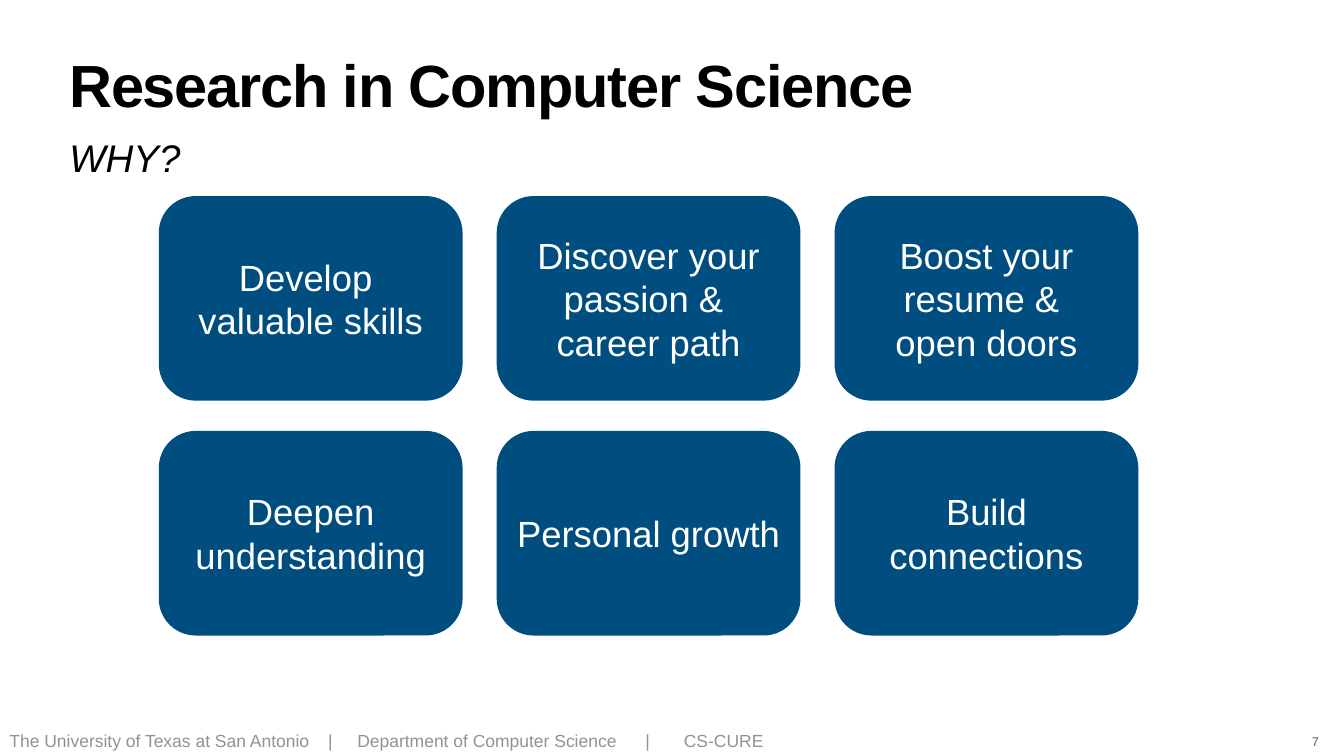
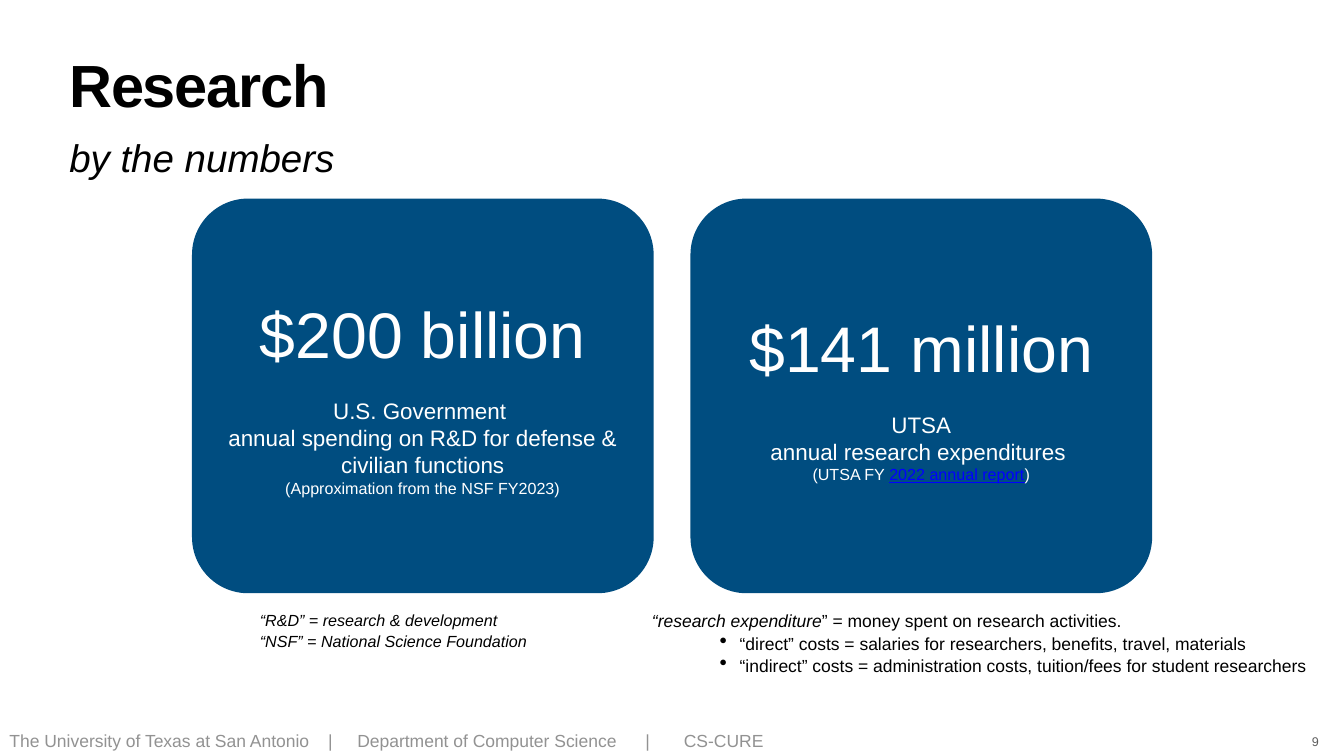
from dataclasses import dataclass

from lxml.etree import SubElement
from pptx import Presentation
from pptx.dml.color import RGBColor as Color
from pptx.enum.shapes import MSO_SHAPE as Shape
from pptx.enum.text import MSO_ANCHOR as Anchor, PP_ALIGN as Align
from pptx.oxml.ns import qn
from pptx.util import Pt


@dataclass(frozen=True)
class Theme:
    font: str = "Arial"
    ink: str = "000000"
    card: str = "004D80"
    on_card: str = "FFFFFF"
    link: str = "0000FF"
    footer: str = "929292"
    number: str = "5E5E5E"
    title_size: int = 85
    subtitle_size: int = 55
    card_size: int = 52
    figure_size: int = 92
    caption_size: int = 32
    small_size: int = 23
    note_size: int = 25
    number_size: int = 18
    inset: float = 4


THEME = Theme()
PAGE_WIDTH, PAGE_HEIGHT = 1920, 1080
FOOTER = "The University of Texas at San Antonio\t|\tDepartment of Computer Science\t|\tCS-CURE"
FOOTER_TABS = (455.5, 497, 908.5, 963.5)

REASONS = (
    (("Develop ", "valuable skills"),
     ("Discover your passion & ", "career path"),
     ("Boost your resume & ", "open doors")),
    (("Deepen understanding",), ("Personal growth",), ("Build connections",)),
)


# Text
def prepare(frame, anchor=Anchor.TOP, wrap=True):
    frame.word_wrap = wrap
    frame.vertical_anchor = anchor
    frame.margin_left = frame.margin_right = Pt(THEME.inset)
    frame.margin_top = frame.margin_bottom = Pt(THEME.inset)
    return frame


def add_box(page, left, top, width, height, **options):
    box = page.shapes.add_textbox(Pt(left), Pt(top), Pt(width), Pt(height))
    return prepare(box.text_frame, **options)


def add_para(frame, text, size, color=THEME.ink, align=Align.LEFT, spacing=None,
             before=0, bold=None, italic=None, bullet=False, tabs=()):
    first = frame.paragraphs[0]
    para = frame.add_paragraph() if first.runs else first
    para.alignment = align
    if spacing:
        para.line_spacing = spacing
    if before:
        para.space_before = Pt(before)
    if bullet:
        add_bullet(para)
    if tabs:
        add_tabs(para, tabs)
    font = para.font
    font.name, font.size = THEME.font, Pt(size)
    font.bold, font.italic = bold, italic
    font.color.rgb = Color.from_string(color)
    if text:
        add_span(para, text)
    return para


def add_span(para, text):
    span = para.add_run()
    span.text = text
    return span


def add_bullet(para):
    props = para._p.get_or_add_pPr()
    props.set("marL", str(Pt(125.3)))
    props.set("indent", str(Pt(-28.8)))
    SubElement(props, qn("a:buSzPct"), val="123000")
    SubElement(props, qn("a:buChar"), char="•")


def add_tabs(para, stops):
    tab_list = SubElement(para._p.get_or_add_pPr(), qn("a:tabLst"))
    for stop in stops:
        SubElement(tab_list, qn("a:tab"), pos=str(Pt(stop)), algn="l")


# Shared page parts
def add_page(deck, title, subtitle, number):
    page = deck.slides.add_slide(deck.slide_layouts[6])

    footer = add_box(page, 9.4, 1040.4, 1834.5, 37.4, anchor=Anchor.MIDDLE)
    add_para(footer, FOOTER, THEME.note_size, THEME.footer, spacing=0.9, tabs=FOOTER_TABS)

    heading = add_box(page, 95, 85, 1730, 113)
    para = add_para(heading, title, THEME.title_size, spacing=0.8, bold=True)
    para.runs[0]._r.get_or_add_rPr().set("spc", "-170")

    subheading = add_box(page, 95, 187.2, 1730, 73.4)
    add_para(subheading, subtitle, THEME.subtitle_size, italic=True)

    corner = add_box(page, 1869.8, 1044.7, 18.7, 29.5, anchor=Anchor.BOTTOM, wrap=False)
    add_para(corner, number, THEME.number_size, THEME.number, Align.CENTER)
    return page


def add_card(page, left, top, width, height, rounding):
    card = page.shapes.add_shape(Shape.ROUNDED_RECTANGLE, Pt(left), Pt(top), Pt(width), Pt(height))
    card.adjustments[0] = rounding
    card.shadow.inherit = False
    card.fill.solid()
    card.fill.fore_color.rgb = Color.from_string(THEME.card)
    card.line.fill.background()
    return prepare(card.text_frame, Anchor.MIDDLE)


def add_card_para(card, text, size, before=0):
    return add_para(card, text, size, THEME.on_card, Align.CENTER, before=before)


# Pages
def build_reasons(deck):
    page = add_page(deck, "Research in Computer Science", "WHY?", "7")
    width, height = 434, 292.3
    column_gap, row_gap = 48.7, 43.2
    for row, reasons in enumerate(REASONS):
        for column, lines in enumerate(reasons):
            card = add_card(page, 226.8 + column * (width + column_gap),
                            280.1 + row * (height + row_gap), width, height, 0.18)
            for line in lines:
                add_card_para(card, line, THEME.card_size)


def add_figure_card(page, column, figure, captions, source):
    width, gap = 659.5, 52.6
    card = add_card(page, 274.3 + column * (width + gap), 283.7, width, 563.8, 0.142)
    add_card_para(card, figure, THEME.figure_size)
    for index, caption in enumerate(captions):
        add_card_para(card, caption, THEME.caption_size, before=0 if index else 36.8)
    return add_card_para(card, source, THEME.small_size)


def build_numbers(deck):
    page = add_page(deck, "Research", "by the numbers", "9")
    add_figure_card(
        page, 0, "$200 billion",
        ("U.S. Government ", "annual spending on R&D for defense & civilian functions"),
        "(Approximation from the NSF FY2023)")
    source = add_figure_card(
        page, 1, "$141 million", ("UTSA", "annual research expenditures "), "(UTSA FY ")
    report = add_span(source, "2022 annual report")
    report.font.underline = True
    report.font.color.rgb = Color.from_string(THEME.link)
    add_span(source, ")")

    # Definitions below the cards
    costs = add_box(page, 927.4, 869.8, 983.5, 101.5, anchor=Anchor.MIDDLE)
    term = add_para(costs, "“research expenditure", THEME.note_size, spacing=0.9)
    term.runs[0].font.italic = True
    add_span(term, "” = money spent on research activities.")
    for text in ("“direct” costs = salaries for researchers, benefits, travel, materials",
                 "“indirect” costs = administration costs, tuition/fees for student researchers"):
        add_para(costs, text, THEME.note_size, spacing=0.9, before=5, bullet=True)

    terms = add_box(page, 367.2, 869.8, 432, 65.5, anchor=Anchor.MIDDLE)
    for index, text in enumerate(("“R&D” = research & development",
                                  "“NSF” = National Science Foundation")):
        add_para(terms, text, THEME.small_size, spacing=0.9, before=5 if index else 0, italic=True)


def main():
    deck = Presentation()
    deck.slide_width, deck.slide_height = Pt(PAGE_WIDTH), Pt(PAGE_HEIGHT)
    build_reasons(deck)
    build_numbers(deck)
    deck.save("out.pptx")


if __name__ == "__main__":
    main()
